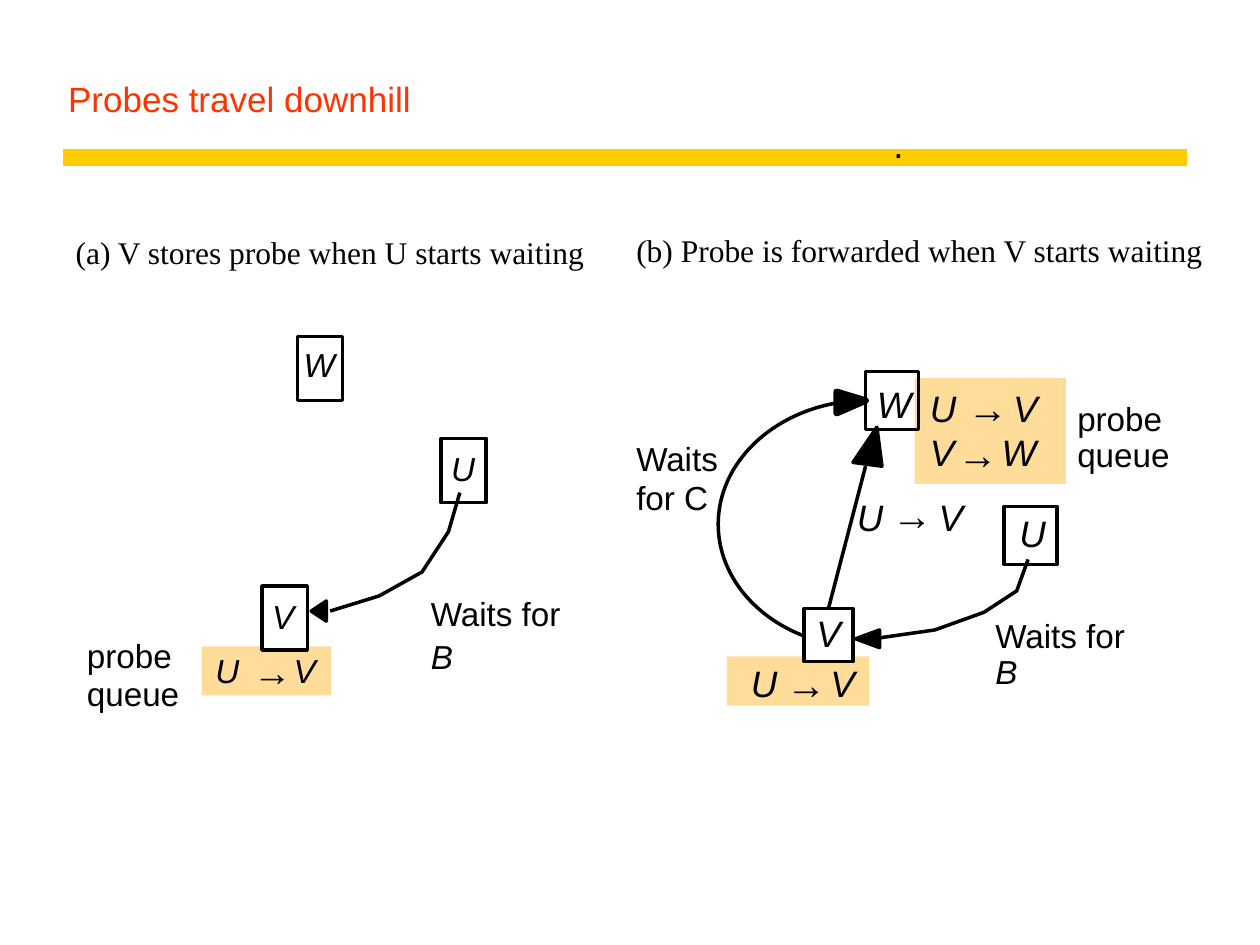
import pptx
import pptx.util
import pptx.dml.color
import pptx.enum.shapes
import pptx.enum.text
import pptx.oxml.ns
import lxml.etree

Inches = pptx.util.Inches
Pt = pptx.util.Pt
qn = pptx.oxml.ns.qn

BLACK, WHITE, PEACH = "000000", "FFFFFF", "FFDC99"


def rgb(hex_color):
    return pptx.dml.color.RGBColor.from_string(hex_color)


def set_style(sp, fill=None, line=None, width=2):
    sp.shadow.inherit = False
    if fill:
        sp.fill.solid()
        sp.fill.fore_color.rgb = rgb(fill)
    else:
        sp.fill.background()
    if line:
        sp.line.color.rgb = rgb(line)
        sp.line.width = Pt(width)
    else:
        sp.line.fill.background()


def format_run(r, size, color=BLACK, font="Arial", italic=False):
    r.font.size = Pt(size)
    r.font.name = font
    r.font.italic = italic
    r.font.color.rgb = rgb(color)


def add_label(s, text, x, y, size=19, italic=False, font="Arial", w=0.3, h=0.35):
    tb = s.shapes.add_textbox(Inches(x), Inches(y), Inches(w), Inches(h))
    tf = tb.text_frame
    tf.margin_left = tf.margin_right = tf.margin_top = tf.margin_bottom = 0
    tf.word_wrap = False
    tf.text = text
    format_run(tf.paragraphs[0].runs[0], size, font=font, italic=italic)


def add_two_lines(s, first, second, x, y, step, italic=False):
    add_label(s, first, x, y, w=1.1, h=0.32)
    add_label(s, second, x, y + step, italic=italic, w=0.85, h=0.32)


def add_probe(s, start, end, xs, y, arrow_y, size):
    """A probe such as U → V; xs holds the left of its three symbols."""
    add_label(s, start, xs[0], y, size, italic=True)
    add_label(s, "→", xs[1], arrow_y, size + (3 if size == 19 else 2))
    add_label(s, end, xs[2], y, size, italic=True)


def add_rect(s, x, y, w, h, fill=None, line=None):
    sp = s.shapes.add_shape(pptx.enum.shapes.MSO_SHAPE.RECTANGLE,
                            Inches(x), Inches(y), Inches(w), Inches(h))
    set_style(sp, fill, line)
    return sp


def add_path(s, points, closed=False, width=2):
    """Open black path, or a filled arrowhead when closed."""
    pts = [(Inches(x), Inches(y)) for x, y in points]
    fb = s.shapes.build_freeform(*pts[0], scale=1.0)
    fb.add_line_segments(pts[1:], close=closed)
    sp = fb.convert_to_shape()
    set_style(sp, BLACK if closed else None, BLACK, width)
    return sp


def add_curve(s, points):
    """Start point, then groups of two control points and an end point."""
    sp = add_path(s, points)
    path = next(sp._element.iter(qn("a:path")))
    segments = path.findall(qn("a:lnTo"))
    for i in range(0, len(segments), 3):
        bez = lxml.etree.SubElement(path, qn("a:cubicBezTo"))
        for seg in segments[i:i + 3]:
            bez.append(seg[0])
            path.remove(seg)


def add_line(s, x1, y1, x2, y2, color, width):
    c = s.shapes.add_connector(pptx.enum.shapes.MSO_CONNECTOR.STRAIGHT,
                               Inches(x1), Inches(y1), Inches(x2), Inches(y2))
    c.line.color.rgb = rgb(color)
    c.line.width = Pt(width)
    lxml.etree.SubElement(c._element.spPr, qn("a:effectLst"))
    return c


def add_heading(s):
    add_line(s, 0.5, 1.25, 9.42, 1.25, "FFCC00", 10)
    title = s.shapes.title
    title.left, title.top = Inches(0.44), Inches(0.25)
    title.width, title.height = Inches(8.97), Inches(0.75)
    tf = title.text_frame
    tf.text = "Probes travel downhill"
    tf.vertical_anchor = pptx.enum.text.MSO_ANCHOR.BOTTOM
    p = tf.paragraphs[0]
    p.alignment = pptx.enum.text.PP_ALIGN.LEFT
    format_run(p.runs[0], 20, "FF3300")
    # Small dots on the rule
    add_label(s, ".", 7.09, 0.97, 21, w=0.1)
    add_label(s, ".", 7.12, 1.18, 5, w=0.05, h=0.08)


def add_stored_probe(s):
    add_label(s, "(a) V stores probe when U starts waiting", 0.6, 1.85, 18,
              font="Times New Roman", w=4.15, h=0.3)
    add_rect(s, 1.6, 5.13, 1.03, 0.39, PEACH)
    # Nodes
    for name, x, y, tx, ty in [("W", 2.36, 2.67, 2.41, 2.73),
                               ("V", 2.08, 4.65, 2.16, 4.73),
                               ("U", 3.5, 3.48, 3.58, 3.56)]:
        add_rect(s, x, y, 0.36, 0.51, WHITE, BLACK)
        add_label(s, name, tx, ty, italic=True, h=0.32)
    # U waits for V
    add_path(s, [(2.59, 4.93), (2.47, 4.85), (2.59, 4.77)], closed=True)
    add_path(s, [(3.65, 3.91), (3.56, 4.22), (3.35, 4.54), (3.01, 4.73), (2.62, 4.85)])
    add_two_lines(s, "Waits for", "B", 3.42, 4.71, 0.34, italic=True)
    # Probe queue
    add_two_lines(s, "probe", "queue", 0.69, 5.04, 0.3)
    add_probe(s, "U", "V", (1.71, 2.01, 2.33), 5.16, 5.14, 19)


def add_forwarded_probe(s):
    add_label(s, "(b) Probe is forwarded when V starts waiting", 5.05, 1.83, 18,
              font="Times New Roman", w=4.6, h=0.3)
    add_rect(s, 7.26, 3, 1.2, 0.84, PEACH)
    add_rect(s, 5.77, 5.21, 1.13, 0.39, PEACH)
    # V waits for W
    add_path(s, [(6.87, 3.18), (6.64, 3.28), (6.64, 3.11)], closed=True, width=3.75)
    add_curve(s, [(6.55, 5.1), (6.05, 4.98), (5.7, 4.6), (5.7, 4.16),
                  (5.7, 3.68), (6.12, 3.27), (6.69, 3.19)])
    add_two_lines(s, "Waits", "for C", 5.05, 3.48, 0.31)
    # U waits for V
    add_path(s, [(6.98, 5.14), (6.79, 5.07), (6.98, 5)], closed=True)
    add_path(s, [(8.16, 4.44), (8.07, 4.69), (7.81, 4.86), (7.42, 5), (6.93, 5.07)])
    add_two_lines(s, "Waits for", "B", 7.9, 4.88, 0.29, italic=True)
    # Nodes
    add_rect(s, 6.87, 2.95, 0.42, 0.46, line=BLACK)
    add_rect(s, 7.97, 4.02, 0.42, 0.46, line=BLACK)
    v = add_rect(s, 6.38, 4.83, 0.39, 0.42, WHITE, BLACK)
    for name, x, y in [("W", 6.96, 3.03), ("U", 8.09, 4.05), ("V", 6.48, 4.85)]:
        add_label(s, name, x, y, 21, italic=True)
    # Probe sent from V to W
    add_path(s, [(6.96, 3.39), (7, 3.7), (6.77, 3.67)], closed=True)
    add_line(s, 6.58, 4.83, 6.87, 3.7, BLACK, 2).begin_connect(v, 0)
    add_probe(s, "U", "V", (6.8, 7.08, 7.45), 3.93, 3.89, 21)
    # Probe queues
    add_probe(s, "U", "V", (7.38, 7.68, 8.04), 3.06, 3.04, 21)
    add_probe(s, "V", "W", (7.38, 7.6, 7.95), 3.41, 3.41, 21)
    add_probe(s, "U", "V", (5.96, 6.24, 6.59), 5.24, 5.23, 21)
    add_two_lines(s, "probe", "queue", 8.55, 3.16, 0.29)


def main():
    prs = pptx.Presentation()
    prs.slide_width, prs.slide_height = Inches(10), Inches(7.5)
    s = prs.slides.add_slide(prs.slide_layouts[5])
    add_heading(s)
    add_stored_probe(s)
    add_forwarded_probe(s)
    prs.save("out.pptx")


if __name__ == "__main__":
    main()
